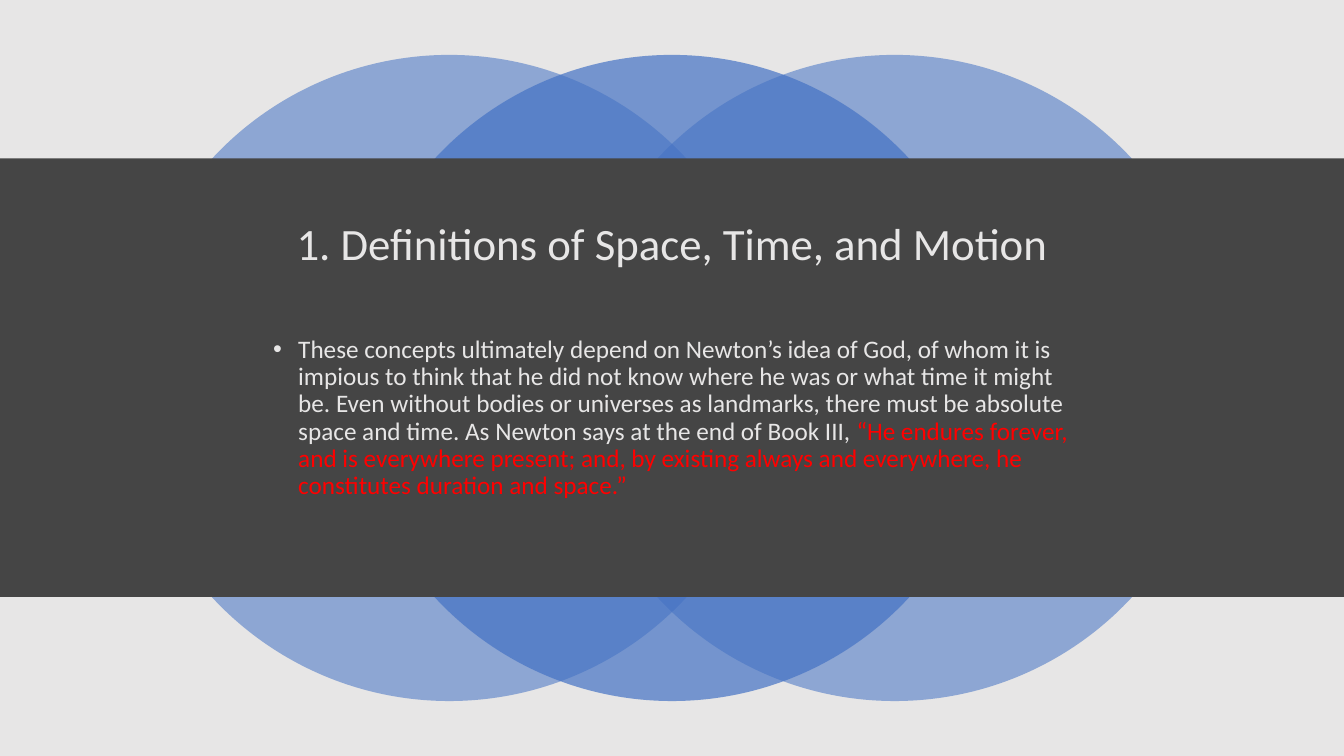
from lxml.etree import SubElement
from pptx import Presentation
from pptx.dml.color import RGBColor
from pptx.enum.shapes import MSO_SHAPE
from pptx.enum.text import MSO_ANCHOR, PP_ALIGN
from pptx.oxml.ns import qn
from pptx.util import Inches, Pt

COLORS = {"light": "E7E6E6", "dark": "454545", "blue": "4472C4", "red": "FF0000"}
FONT = "Calibri"


def rgb(name):
    return RGBColor.from_string(COLORS[name])


def add_run(p, text, size=18, color="light"):
    r = p.add_run()
    r.text = text
    r.font.name, r.font.size = FONT, Pt(size)
    r.font.color.rgb = rgb(color)


class SlideBuilder:
    """Places elements on one slide; lengths are percentages of its size."""

    def __init__(self, prs):
        self.width, self.height = prs.slide_width, prs.slide_height
        self.slide = prs.slides.add_slide(prs.slide_layouts[6])
        self.shapes = self.slide.shapes

    def background(self, color):
        fill = self.slide.background.fill
        fill.solid()
        fill.fore_color.rgb = rgb(color)

    def box(self, x, y, w, h):
        return (round(self.width * x / 100), round(self.height * y / 100),
                round(self.width * w / 100), round(self.height * h / 100))

    def shape(self, kind, box, color, alpha=100, parent=None):
        sp = (parent or self).shapes.add_shape(kind, *box)
        sp.shadow.inherit = False
        sp.fill.solid()
        sp.fill.fore_color.rgb = rgb(color)
        sp.line.fill.background()
        if alpha < 100:
            clr = sp.fill._xPr.find(f".//{qn('a:srgbClr')}")
            SubElement(clr, qn("a:alpha"), val=str(alpha * 1000))

    def circle(self, center, diameter, color, alpha, parent):
        w = diameter * self.height / self.width
        box = self.box(center - w / 2, 50 - diameter / 2, w, diameter)
        self.shape(MSO_SHAPE.OVAL, box, color, alpha, parent)

    def text(self, box, runs, size, anchor=MSO_ANCHOR.TOP, align=PP_ALIGN.LEFT,
             bullet=False):
        tf = self.shapes.add_textbox(*box).text_frame
        tf.word_wrap, tf.vertical_anchor = True, anchor
        p = tf.paragraphs[0]
        p.alignment, p.line_spacing = align, 0.9
        if bullet:
            p.space_before = Pt(10)
            pPr = p._p.get_or_add_pPr()
            pPr.set("marL", str(Inches(0.25)))
            pPr.set("indent", str(-Inches(0.25)))
            SubElement(pPr, qn("a:buFont"), typeface="Arial")
            SubElement(pPr, qn("a:buChar"), char="•")
        for text, color in runs:
            add_run(p, text, size=size, color=color)


def main():
    prs = Presentation()
    prs.slide_width, prs.slide_height = Inches(13.333), Inches(7.5)
    s = SlideBuilder(prs)

    # Backdrop
    s.background("dark")
    s.shape(MSO_SHAPE.RECTANGLE, s.box(0, 0, 100, 100), "light")

    # Overlapping circles, the middle one in front
    circles = s.shapes.add_group_shape()
    for offset, alpha in ((-1, 55), (1, 55), (0, 70)):
        s.circle(50 + offset * 16.57, 85.47, "blue", alpha, circles)

    # Dark band
    s.shape(MSO_SHAPE.RECTANGLE, s.box(0, 20.95, 100, 58), "dark")

    # Title
    s.text(s.box(6.9, 25.73, 86.25, 13.6),
           [("1. Definitions of Space, Time, and Motion", "light")],
           size=32, anchor=MSO_ANCHOR.MIDDLE, align=PP_ALIGN.CENTER)

    # Body with the quotation in red
    s.text(s.box(19.58, 43.87, 60.9, 30.8), [
        ("These concepts ultimately depend on Newton’s idea of God, of whom it is "
         "impious to think that he did not know where he was or what time it might "
         "be. Even without bodies or universes as landmarks, there must be absolute "
         "space and time. As Newton says at the end of Book III, ", "light"),
        ("“He endures forever, and is everywhere present; and, by existing always "
         "and everywhere, he constitutes duration and space.”", "red"),
    ], size=18, bullet=True)

    prs.save("out.pptx")


if __name__ == "__main__":
    main()
